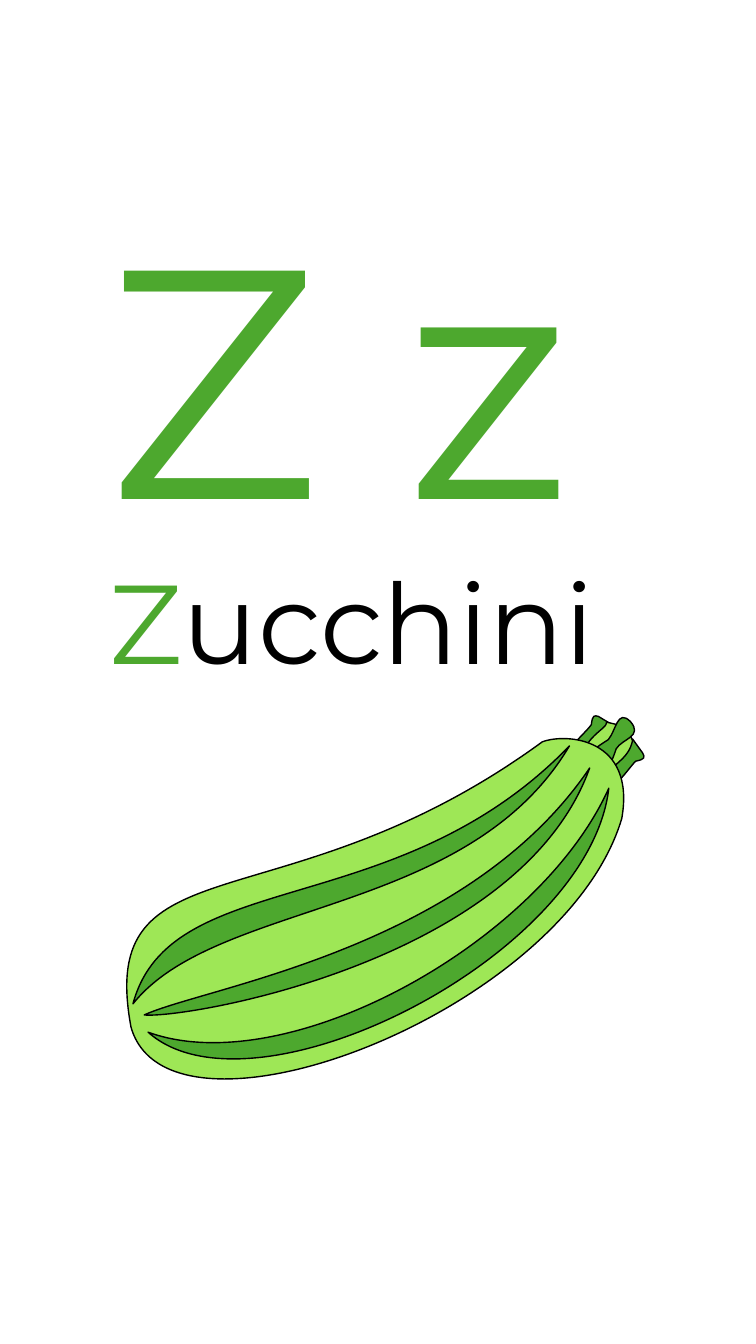
import math

import lxml.etree
import pptx
import pptx.dml.color
import pptx.enum.text
import pptx.oxml.ns
import pptx.util

Pt = pptx.util.Pt
RGBColor = pptx.dml.color.RGBColor
qn = pptx.oxml.ns.qn

BLACK = RGBColor(0x00, 0x00, 0x00)
DARK_GREEN = RGBColor(0x4D, 0xA8, 0x2E)
LIGHT_GREEN = RGBColor(0x9E, 0xE7, 0x56)
CURVE_STEPS = 24

RIGHT_STEM = [
    (459.4, 537.8), [(452.2, 527.8)],
    [(441.4, 537.1), (429.8, 546.5), (419, 555.8)], [(427.7, 565.2)],
    [(436.3, 568.8), (449.3, 548.6), (454.3, 543.6)],
    [(461.5, 542.2), (460.8, 540.7), (459.4, 537.8)],
]
LEFT_STEM = [
    (427.7, 511.9), [(438.5, 518.4)],
    [(430.6, 530.6), (422.6, 542.2), (414.7, 554.4)], [(403.9, 547.2)],
    [(399.6, 538.6), (418.3, 524.2), (422.6, 517.7)],
    [(423.4, 510.5), (424.8, 511.2), (427.7, 511.9)],
]
STEM_CORE = [
    (433.4, 516.2), [(434.2, 515.5), (445, 519.8), (447.8, 517.7)],
    [(451.4, 527.8)], [(452.2, 528.5), (452.2, 529.9), (451.4, 531.4)],
    [(447.8, 544.3), (433.4, 547.9), (428.4, 560.2)],
    [(427.7, 560.9), (424.1, 556.6), (423.4, 555.1)], [(417.6, 549.4)],
    [(416.2, 548.6), (414.7, 546.5), (415.4, 545.8)],
    [(415.4, 527), (434.2, 520.6), (433.4, 516.2)],
]
FRONT_STEM = [
    (434.2, 528.5), [(439.9, 522), (440.6, 506.2), (450, 515.5)],
    [(459.4, 526.3), (444.2, 527.8), (439.9, 535)],
    [(433.4, 555.1), (429.1, 550.8), (423.4, 558.7)], [(411.8, 551.5)],
    [(423.4, 545), (405.4, 546.5), (434.2, 528.5)],
]
BODY = [
    (387.4, 529.9), [(404.6, 523.4), (454.3, 527), (444.2, 584.6)],
    [(403.2, 722.9), (121, 830.2), (93.6, 733.7)],
    [(68.4, 597.6), (203, 664.6), (387.4, 529.9)],
]
STRIPES = [
    [(95, 717.1), [(154.8, 642.2), (334.1, 655.2), (406.8, 532.8)],
     [(283.7, 660.2), (121.7, 617.8), (95, 717.1)]],
    [(103, 725), [(133.2, 727.9), (371.5, 686.9), (421.2, 548.6)],
     [(333.4, 678.2), (146.9, 704.9), (103, 725)]],
    [(105.8, 737.3), [(180.7, 804.2), (421.2, 683.3), (434.9, 563)],
     [(385.2, 673.9), (204.5, 773.3), (105.8, 737.3)]],
]


def add_text(paragraph, text, *, size, color, font="Montserrat"):
    run = paragraph.add_run()
    run.text = text
    run.font.name = font
    run.font.size = Pt(size)
    run.font.color.rgb = color


def curve_points(start, first, second, end):
    points = []
    for step in range(1, CURVE_STEPS + 1):
        t = step / CURVE_STEPS
        weights = ((1 - t) ** 3, 3 * t * (1 - t) ** 2, 3 * t**2 * (1 - t), t**3)
        points.append(tuple(
            sum(weight * value for weight, value in zip(weights, values))
            for values in zip(start, first, second, end)
        ))
    return points


def turn_back(point, pivot, degrees):
    dx, dy = point[0] - pivot[0], point[1] - pivot[1]
    cosine, sine = math.cos(math.radians(degrees)), math.sin(math.radians(degrees))
    return (pivot[0] + dx * cosine + dy * sine, pivot[1] - dx * sine + dy * cosine)


def write_curves(shape, start, segments):
    geometry = next(shape._element.iter(qn("a:path")))
    for child in list(geometry):
        geometry.remove(child)
    commands = {1: "a:lnTo", 3: "a:cubicBezTo"}
    steps = [("a:moveTo", [start])]
    steps += [(commands[len(segment)], segment) for segment in segments]
    for tag, points in steps:
        command = lxml.etree.SubElement(geometry, qn(tag))
        for x, y in points:
            lxml.etree.SubElement(command, qn("a:pt"), x=str(Pt(x) - shape.left),
                                  y=str(Pt(y) - shape.top))
    lxml.etree.SubElement(geometry, qn("a:close"))


class AlphabetCard:
    """Draw the elements of one alphabet card on a slide."""

    def __init__(self, slide, outline_color=BLACK, outline_width=1):
        self.slide = slide
        self.outline_color = outline_color
        self.outline_width = outline_width

    def fill_text_shape(self, shape, bounds, runs, size):
        shape.left, shape.top, shape.width, shape.height = map(Pt, bounds)
        frame = shape.text_frame
        frame.word_wrap = True
        frame.auto_size = pptx.enum.text.MSO_AUTO_SIZE.SHAPE_TO_FIT_TEXT
        frame.vertical_anchor = pptx.enum.text.MSO_ANCHOR.TOP
        paragraph = frame.paragraphs[0]
        paragraph.alignment = pptx.enum.text.PP_ALIGN.LEFT
        for text, color in runs:
            add_text(paragraph, text, size=size, color=color)

    def title(self, bounds, runs, size):
        self.fill_text_shape(self.slide.shapes.title, bounds, runs, size)

    def text_box(self, bounds, runs, size):
        shape = self.slide.shapes.add_textbox(*map(Pt, bounds))
        self.fill_text_shape(shape, bounds, runs, size)

    def outline(self, start, *segments, color, pivot=(0, 0), rotation=0):
        start = turn_back(start, pivot, rotation)
        segments = [[turn_back(point, pivot, rotation) for point in segment]
                    for segment in segments]
        points = [start]
        for segment in segments:
            if len(segment) == 1:
                points += segment
            else:
                points += curve_points(points[-1], *segment)
        corners = [(Pt(x), Pt(y)) for x, y in points]
        builder = self.slide.shapes.build_freeform(*corners[0])
        builder.add_line_segments(corners[1:], close=True)
        shape = builder.convert_to_shape()
        write_curves(shape, start, segments)
        shape.rotation = rotation
        shape.shadow.inherit = False
        shape.fill.solid()
        shape.fill.fore_color.rgb = color
        shape.line.color.rgb = self.outline_color
        shape.line.width = Pt(self.outline_width)


def main():
    presentation = pptx.Presentation()
    presentation.slide_width = Pt(540)
    presentation.slide_height = Pt(960)
    slide = presentation.slides.add_slide(presentation.slide_layouts[5])
    card = AlphabetCard(slide)
    card.title((69.8, 120.2, 470.2, 289.4), [("Z z", DARK_GREEN)], 233)
    card.text_box((71.3, 391, 409, 104.4),
                  [("Z", DARK_GREEN), ("ucchini", BLACK)], 80)
    card.outline(*RIGHT_STEM, color=DARK_GREEN, pivot=(441, 548.6), rotation=49.7)
    card.outline(*LEFT_STEM, color=DARK_GREEN, pivot=(419.4, 532.1), rotation=33.9)
    card.outline(*STEM_CORE, color=LIGHT_GREEN, pivot=(433.8, 535.3), rotation=46)
    card.outline(*FRONT_STEM, color=DARK_GREEN, pivot=(433.4, 535), rotation=38.4)
    card.outline(*BODY, color=LIGHT_GREEN)
    for stripe in STRIPES:
        card.outline(*stripe, color=DARK_GREEN)
    presentation.save("out.pptx")


if __name__ == "__main__":
    main()
